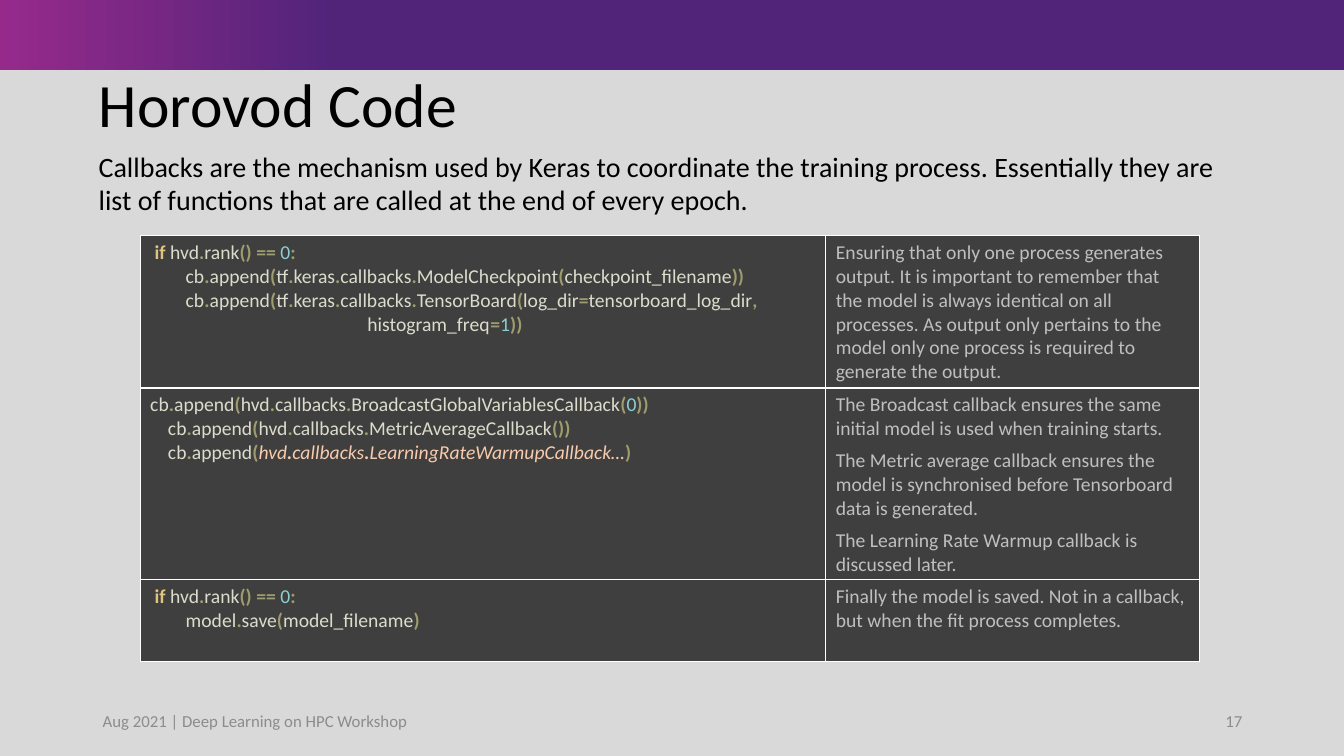
from itertools import groupby

from lxml.etree import SubElement
from pptx import Presentation
from pptx.dml.color import RGBColor
from pptx.enum.shapes import MSO_SHAPE
from pptx.enum.text import MSO_ANCHOR, PP_ALIGN
from pptx.oxml.ns import qn
from pptx.util import Inches, Pt

BLACK = RGBColor(0x00, 0x00, 0x00)
WHITE = RGBColor(0xFF, 0xFF, 0xFF)
PAGE = RGBColor(0xD9, 0xD9, 0xD9)
PURPLE = RGBColor(0x51, 0x24, 0x7A)
MAGENTA = RGBColor(0x96, 0x2A, 0x8B)
FOOTER = RGBColor(0x8C, 0x8C, 0x8C)
CELL = RGBColor(0x3F, 0x3F, 0x3F)
NOTE = RGBColor(0xBF, 0xBF, 0xBF)
CODE = RGBColor(0xDC, 0xDC, 0xCC)
KEYWORD = RGBColor(0xDF, 0xC4, 0x7D)
SYMBOL = RGBColor(0x9F, 0x9D, 0x6D)
NUMBER = RGBColor(0x8C, 0xD0, 0xD3)
PEACH = RGBColor(0xF8, 0xCB, 0xAD)

# Code that is shown in peach italics
PENDING = "hvd.callbacks.LearningRateWarmupCallback…"

# Each row: code lines, explanatory paragraphs
ROWS = [
    ([" if hvd.rank() == 0:",
      "        cb.append(tf.keras.callbacks.ModelCheckpoint(checkpoint_filename))",
      "        cb.append(tf.keras.callbacks.TensorBoard(log_dir=tensorboard_log_dir,",
      "                                                 histogram_freq=1))"],
     ["Ensuring that only one process generates output. It is important to "
      "remember that the model is always identical on all processes. As output "
      "only pertains to the model only one process is required to generate the "
      "output."]),
    (["cb.append(hvd.callbacks.BroadcastGlobalVariablesCallback(0))",
      "    cb.append(hvd.callbacks.MetricAverageCallback())",
      f"    cb.append({PENDING})"],
     ["The Broadcast callback ensures the same initial model is used when "
      "training starts.",
      "The Metric average callback ensures the model is synchronised before "
      "Tensorboard data is generated.",
      "The Learning Rate Warmup callback is discussed later."]),
    ([" if hvd.rank() == 0:",
      "        model.save(model_filename)"],
     ["Finally the model is saved. Not in a callback, but when the fit process "
      "completes."]),
]


def is_symbol(char):
    return not (char.isalnum() or char in " _…")


def token_kind(char):
    return "space" if char == " " else "symbol" if is_symbol(char) else "word"


def token_color(token):
    if token == "if":
        return KEYWORD
    if token.isdigit():
        return NUMBER
    return SYMBOL if is_symbol(token[0]) else CODE


class SlideBuilder:
    font = "Calibri"

    def __init__(self, prs, layout):
        self.s = prs.slides.add_slide(layout)
        fill = self.s.background.fill
        fill.solid()
        fill.fore_color.rgb = PAGE

    def run(self, p, text, size, color, **formats):
        r = p.add_run()
        r.text = text
        r.font.color.rgb = color
        for name, value in {"name": self.font, "size": Pt(size), **formats}.items():
            setattr(r.font, name, value)

    def band(self, box, stops):
        sp = self.s.shapes.add_shape(MSO_SHAPE.RECTANGLE, *map(Inches, box))
        sp.shadow.inherit = False
        sp.line.fill.background()
        sp.fill.gradient()
        sp.fill.gradient_angle = 0
        for stop, (position, color) in zip(sp.fill.gradient_stops, stops):
            stop.position = position
            stop.color.rgb = color

    def fill_text(self, sp, text, size, color, anchor, align, **spacing):
        tf = sp.text_frame
        tf.word_wrap = True
        tf.vertical_anchor = anchor
        p = tf.paragraphs[0]
        for name, value in {"alignment": align, **spacing}.items():
            setattr(p, name, value)
        self.run(p, text, size, color)

    def title(self, box, text):
        sp = self.s.shapes.title
        for name, value in zip(("left", "top", "width", "height"), box):
            setattr(sp, name, Inches(value))
        self.fill_text(sp, text, 44, BLACK, MSO_ANCHOR.MIDDLE, PP_ALIGN.LEFT,
                       line_spacing=0.9)

    def text(self, box, text, size, color, anchor=MSO_ANCHOR.MIDDLE,
             align=PP_ALIGN.LEFT):
        sp = self.s.shapes.add_textbox(*map(Inches, box))
        self.fill_text(sp, text, size, color, anchor, align)

    def code_line(self, p, line):
        before, pending, after = line.partition(PENDING)
        for part, italic in ((before, False), (pending, True), (after, False)):
            for kind, chars in groupby(part, token_kind):
                token = "".join(chars)
                color = PEACH if italic else token_color(token)
                self.run(p, token, 14, color, italic=italic,
                         bold=kind == "symbol" or token == "if")

    def note(self, p, text):
        self.run(p, text, 14, NOTE)

    def cell(self, cell, lines, write, gap):
        tf = cell.text_frame
        for i, line in enumerate(lines):
            p = tf.add_paragraph() if i else tf.paragraphs[0]
            if i and gap:
                p.space_before = Pt(gap)
            write(p, line)
        # Borders precede the fill in the cell properties
        tc_pr = cell._tc.get_or_add_tcPr()
        for side in ("a:lnL", "a:lnR", "a:lnT", "a:lnB"):
            ln = SubElement(tc_pr, qn(side), w=str(Pt(1)))
            solid = SubElement(ln, qn("a:solidFill"))
            SubElement(solid, qn("a:srgbClr"), val=str(WHITE))
        cell.fill.solid()
        cell.fill.fore_color.rgb = CELL

    def code_table(self, left, top, widths, heights, rows):
        box = (left, top, sum(widths), sum(heights))
        table = self.s.shapes.add_table(len(rows), len(widths),
                                        *map(Inches, box)).table
        table.first_row = table.horz_banding = False
        for column, width in zip(table.columns, widths):
            column.width = Inches(width)
        for i, (height, (code, notes)) in enumerate(zip(heights, rows)):
            table.rows[i].height = Inches(height)
            self.cell(table.cell(i, 0), code, self.code_line, 0)
            self.cell(table.cell(i, 1), notes, self.note, 6)


def main():
    prs = Presentation()
    prs.slide_width, prs.slide_height = Inches(13.33), Inches(7.5)
    slide = SlideBuilder(prs, prs.slide_layouts[5])

    # Header
    slide.band((0, 0, 13.33, 0.69), [(0, MAGENTA), (0.25, PURPLE)])
    slide.title((0.88, 0.69, 11.54, 0.76), "Horovod Code")

    # Introduction
    slide.text((0.88, 1.43, 11.46, 0.91),
               "Callbacks are the mechanism used by Keras to coordinate the "
               "training process. Essentially they are list of functions that "
               "are called at the end of every epoch.",
               20, BLACK, anchor=MSO_ANCHOR.TOP)

    # Code with explanations
    slide.code_table(1.39, 2.34, (6.8, 3.71), (1.51, 1.89, 0.81), ROWS)

    # Footer
    slide.text((0.92, 6.95, 3.33, 0.4),
               "Aug 2021 | Deep Learning on HPC Workshop", 12, FOOTER)
    slide.text((9.42, 6.95, 3, 0.4), "17", 12, FOOTER, align=PP_ALIGN.RIGHT)

    prs.save("out.pptx")


if __name__ == "__main__":
    main()
